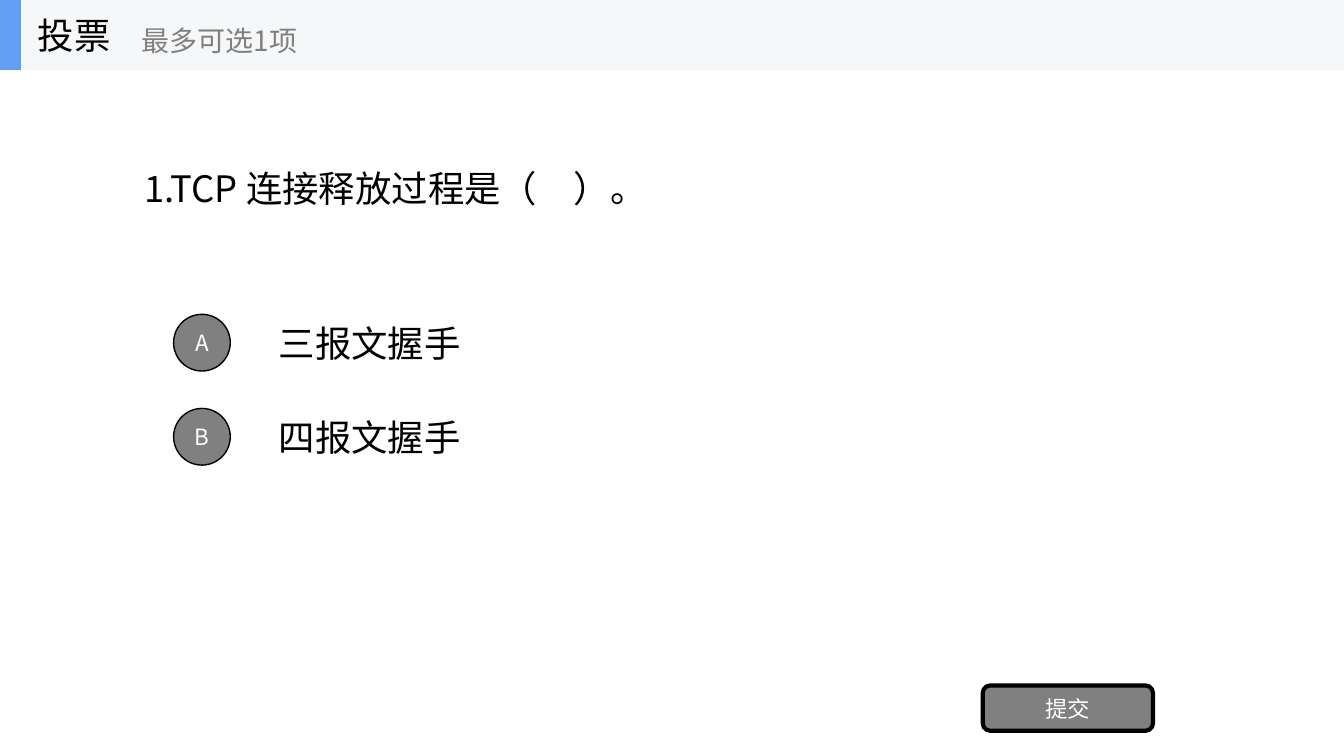
from lxml.etree import SubElement
from pptx import Presentation
from pptx.dml.color import RGBColor
from pptx.enum.shapes import MSO_SHAPE
from pptx.enum.text import MSO_ANCHOR, PP_ALIGN
from pptx.oxml.ns import qn
from pptx.util import Pt

BLACK = RGBColor(0x00, 0x00, 0x00)
GRAY = RGBColor(0x80, 0x80, 0x80)
WHITE = RGBColor(0xFF, 0xFF, 0xFF)
PALE = RGBColor(0xF6, 0xF7, 0xF8)
BLUE = RGBColor(0x63, 0x9E, 0xF4)


class PollSlide:
    """Draws the parts of a poll slide in one shared style."""

    font_name = "Noto Sans CJK SC"

    def __init__(self, slide):
        self.slide = slide

    def set_words(self, frame, words, size, color, align):
        frame.vertical_anchor = MSO_ANCHOR.MIDDLE
        paragraph = frame.paragraphs[0]
        paragraph.text = words
        paragraph.alignment = align
        font = paragraph.font
        font.name = self.font_name
        font.size = Pt(size)
        font.color.rgb = color
        defaults = paragraph._p.pPr.find(qn("a:defRPr"))
        SubElement(defaults, qn("a:ea")).set("typeface", self.font_name)

    def text(self, words, left, top, width, height, size=26, color=BLACK, wrap=True):
        box = self.slide.shapes.add_textbox(Pt(left), Pt(top), Pt(width), Pt(height))
        box.text_frame.word_wrap = wrap
        self.set_words(box.text_frame, words, size, color, PP_ALIGN.LEFT)

    def band(self, left, top, width, height, fill, kind=MSO_SHAPE.RECTANGLE):
        band = self.slide.shapes.add_shape(kind, Pt(left), Pt(top), Pt(width), Pt(height))
        band.shadow.inherit = False
        band.fill.solid()
        band.fill.fore_color.rgb = fill
        band.line.fill.background()
        return band

    def button(self, words, left, top, width, height, kind, border):
        button = self.band(left, top, width, height, GRAY, kind)
        button.line.color.rgb = BLACK
        button.line.width = Pt(border)
        frame = button.text_frame
        frame.margin_left = frame.margin_right = Pt(0)
        frame.margin_top = frame.margin_bottom = Pt(0)
        self.set_words(frame, words, 16, WHITE, PP_ALIGN.CENTER)


def main():
    deck = Presentation()
    deck.slide_width, deck.slide_height = Pt(960), Pt(540)
    poll = PollSlide(deck.slides.add_slide(deck.slide_layouts[6]))

    poll.text("1.TCP 连接释放过程是（　）。", 96, 50, 768, 168.5)

    for index, (letter, answer) in enumerate([("A", "三报文握手"), ("B", "四报文握手")]):
        top = 219.5 + index * 67.2
        poll.text(answer, 192, top, 672, 50.5)
        poll.button(letter, 124, top + 5, 40.5, 40.5, MSO_SHAPE.OVAL, 1)

    poll.button("提交", 702, 489.6, 121.6, 32.4, MSO_SHAPE.ROUNDED_RECTANGLE, 3)

    poll.band(0, 0, 960, 50, PALE)
    poll.band(0, 0, 15, 50, BLUE)
    poll.text("投票", 20, 0, 150, 50, wrap=False)
    poll.text("最多可选1项", 94, 9, 180, 40, 20, GRAY, wrap=False)

    deck.save("out.pptx")


if __name__ == "__main__":
    main()
